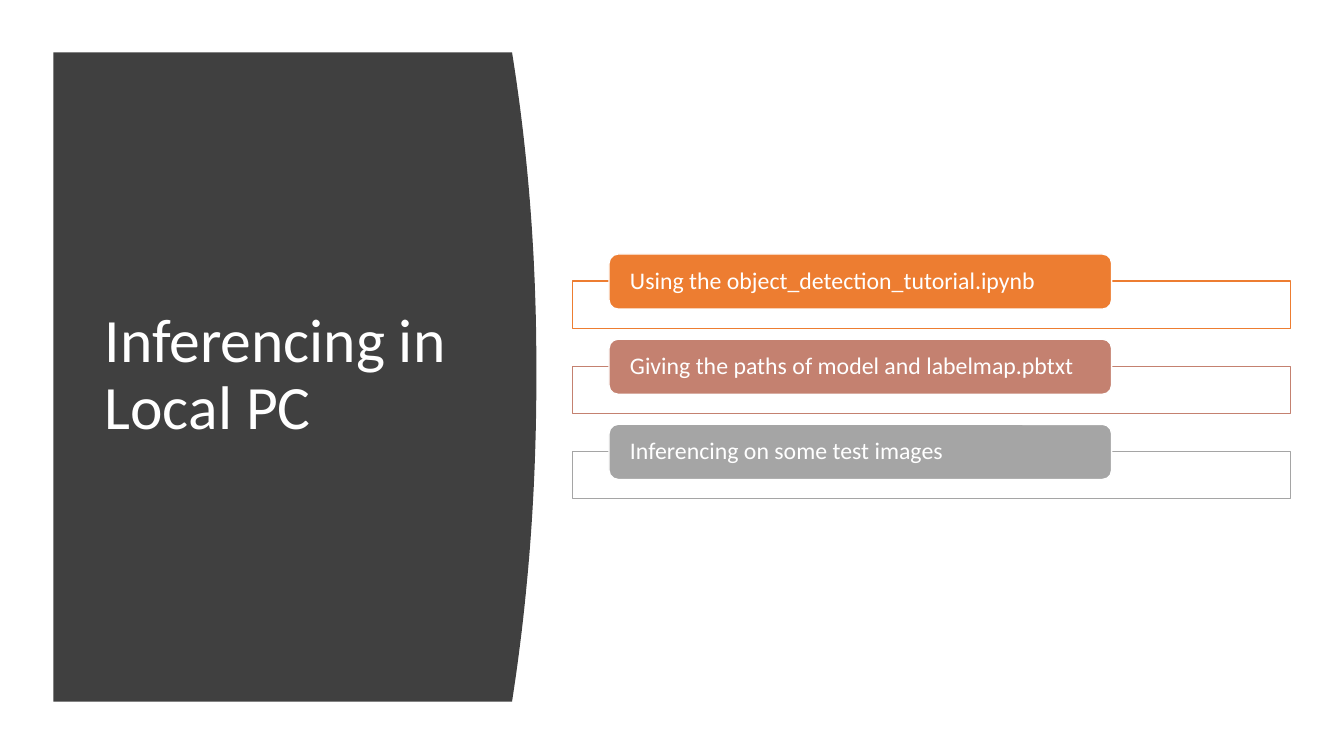
"""Build the slide on running inference on a local PC."""
from lxml import etree
from pptx import Presentation
from pptx.dml.color import RGBColor
from pptx.enum.shapes import MSO_SHAPE
from pptx.enum.text import MSO_ANCHOR, PP_ALIGN
from pptx.oxml.ns import qn
from pptx.util import Pt

RECT, PILL = MSO_SHAPE.RECTANGLE, MSO_SHAPE.ROUNDED_RECTANGLE
MIDDLE, LEFT = MSO_ANCHOR.MIDDLE, PP_ALIGN.LEFT

TITLE = "Inferencing in Local PC"
STEPS = [
    ("Using the object_detection_tutorial.ipynb", "orange"),
    ("Giving the paths of model and labelmap.pbtxt", "clay"),
    ("Inferencing on some test images", "gray"),
]
COLORS = {"panel": "404040", "white": "FFFFFF", "orange": "ED7D31",
          "clay": "C48170", "gray": "A5A5A5"}
FONT = "Calibri"
PANEL_LEFT, PANEL_TOP, PANEL_BOTTOM = 38.16, 37.44, 501.12
PANEL_EDGE, PANEL_BULGE, PANEL_PEAK = 365.76, 17.4, 265.7
CURVE_STEPS, CURVE_POWER = 48, 2.1
ROW_TOP, ROW_PITCH = 181.44, 60.84
BOX_LEFT, BOX_DROP, BOX_WIDTH, BOX_HEIGHT = 408.8, 19.4, 512.9, 33.8
PILL_LEFT, PILL_WIDTH, PILL_HEIGHT = 435, 359, 39.4


def rgb(name):
    return RGBColor.from_string(COLORS[name])


def paint(sp, fill, line=None, alpha=None):
    sp.shadow.inherit = False
    sp.fill.solid()
    sp.fill.fore_color.rgb = rgb(fill)
    if alpha:
        clr = sp.fill._xPr.find(qn("a:solidFill"))[0]
        etree.SubElement(clr, qn("a:alpha")).set("val", str(alpha * 1000))
    if line:
        sp.line.color.rgb = rgb(line)
        sp.line.width = Pt(1)
    else:
        sp.line.fill.background()


def write(sp, text, size, inset_x=7.2, inset_y=3.6):
    tf = sp.text_frame
    tf.word_wrap = True
    tf.vertical_anchor = MIDDLE
    tf.margin_left = tf.margin_right = Pt(inset_x)
    tf.margin_top = tf.margin_bottom = Pt(inset_y)
    p = tf.paragraphs[0]
    p.alignment = LEFT
    p.line_spacing = 0.9
    r = p.add_run()
    r.text = text
    r.font.size = Pt(size)
    r.font.name = FONT
    r.font.color.rgb = rgb("white")


def edge_point(i):
    y = PANEL_TOP + (PANEL_BOTTOM - PANEL_TOP) * i / CURVE_STEPS
    end = PANEL_TOP if y < PANEL_PEAK else PANEL_BOTTOM
    u = (y - PANEL_PEAK) / (end - PANEL_PEAK)
    return Pt(PANEL_EDGE + PANEL_BULGE * (1 - u ** CURVE_POWER)), Pt(y)


def add_panel(s):
    fb = s.shapes.build_freeform(Pt(PANEL_LEFT), Pt(PANEL_TOP))
    points = [edge_point(i) for i in range(CURVE_STEPS + 1)]
    fb.add_line_segments(points + [(Pt(PANEL_LEFT), Pt(PANEL_BOTTOM))], close=True)
    paint(fb.convert_to_shape(), "panel")
    title = s.shapes.add_textbox(Pt(67.68), Pt(79.92), Pt(269.3), Pt(377.3))
    write(title, TITLE, 44)


def add_step(s, top, text, color):
    box = s.shapes.add_shape(RECT, Pt(BOX_LEFT), Pt(top + BOX_DROP),
                             Pt(BOX_WIDTH), Pt(BOX_HEIGHT))
    paint(box, "white", color, alpha=90)
    pill = s.shapes.add_shape(PILL, Pt(PILL_LEFT), Pt(top),
                              Pt(PILL_WIDTH), Pt(PILL_HEIGHT))
    paint(pill, color, "white")
    write(pill, text, 17, inset_x=13.1, inset_y=0)


def main():
    prs = Presentation()
    prs.slide_width, prs.slide_height = Pt(960), Pt(540)
    s = prs.slides.add_slide(prs.slide_layouts[6])
    add_panel(s)
    for i, (text, color) in enumerate(STEPS):
        add_step(s, ROW_TOP + i * ROW_PITCH, text, color)
    prs.save("out.pptx")


if __name__ == "__main__":
    main()
